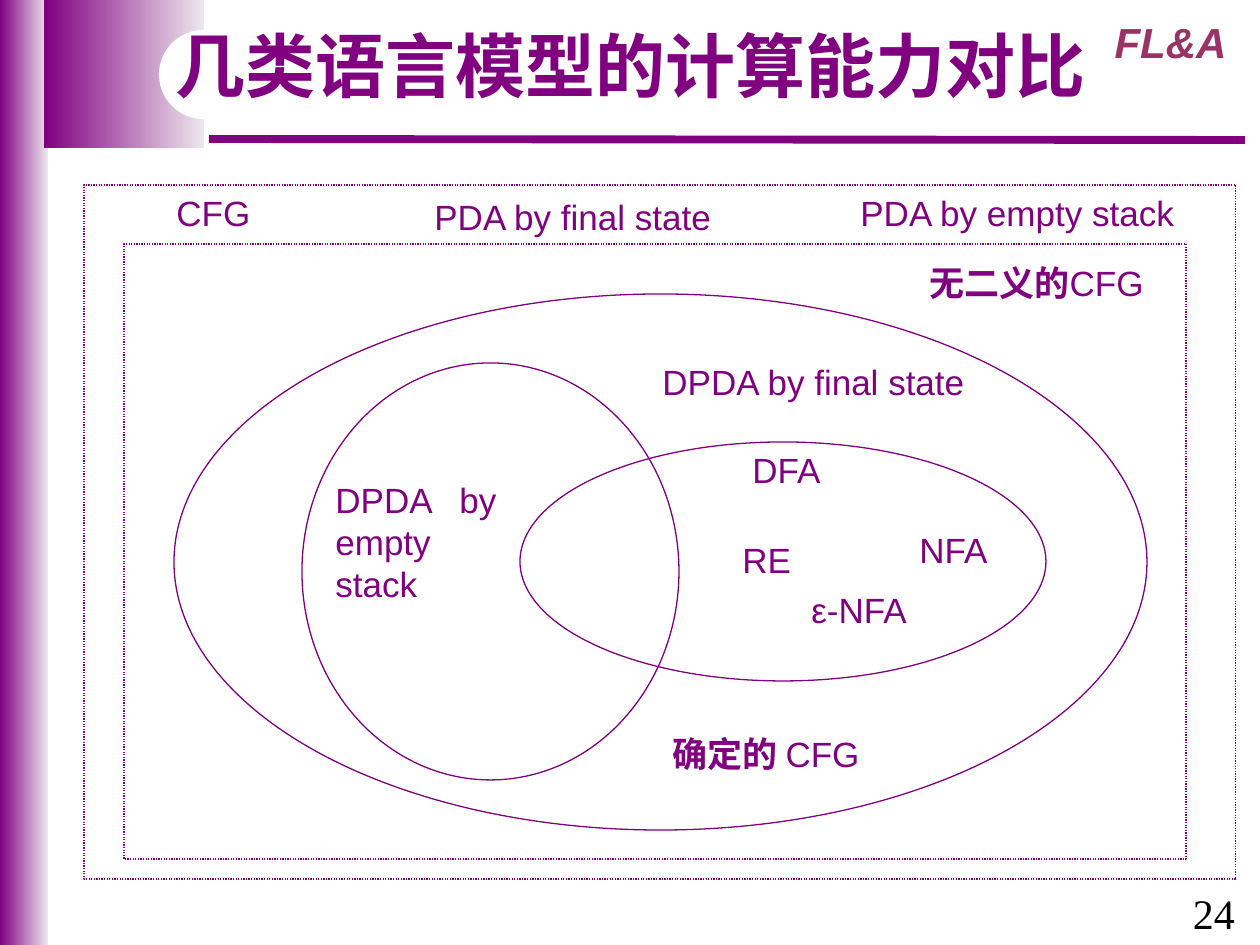
from lxml import etree
from pptx import Presentation
from pptx.dml.color import RGBColor
from pptx.enum import dml, shapes, text
from pptx.oxml.ns import qn
from pptx.util import Emu, Pt

PX = 914400 // 126
PURPLE = RGBColor(0x80, 0x00, 0x80)
PALE = RGBColor(0xED, 0xE7, 0xED)
ROSE = RGBColor(0x99, 0x33, 0x66)
WHITE = RGBColor(0xFF, 0xFF, 0xFF)
BLACK = RGBColor(0x00, 0x00, 0x00)


def px(*lengths):
    return [Emu(length * PX) for length in lengths]


class Page:
    body = dict(name="Arial", size=Pt(20), bold=False, italic=False)

    def __init__(self, deck):
        self.slide = deck.slides.add_slide(deck.slide_layouts[6])

    def block(self, kind, *area):
        shape = self.slide.shapes.add_shape(kind, *px(*area))
        shape.shadow.inherit = False
        return shape

    def gradient(self, *area):
        shape = self.block(shapes.MSO_SHAPE.RECTANGLE, *area)
        shape.line.fill.background()
        shape.fill.gradient()
        shape.fill.gradient_angle = 0
        for stop, color, position in zip(shape.fill.gradient_stops, (PURPLE, PALE), (0, 1)):
            stop.color.rgb = color
            stop.position = position

    def pill(self, *area):
        shape = self.block(shapes.MSO_SHAPE.ROUNDED_RECTANGLE, *area)
        shape.adjustments[0] = 0.5
        shape.fill.solid()
        shape.fill.fore_color.rgb = WHITE
        shape.line.fill.background()

    def outline(self, kind, *area, dash=None):
        shape = self.block(kind, *area)
        shape.fill.background()
        shape.line.color.rgb = PURPLE
        shape.line.width = Pt(0.75)
        if dash:
            shape.line.dash_style = dash

    def ellipse(self, *area):
        self.outline(shapes.MSO_SHAPE.OVAL, *area)

    def frame(self, *area):
        self.outline(shapes.MSO_SHAPE.RECTANGLE, *area, dash=dml.MSO_LINE.ROUND_DOT)

    def rule(self, *ends):
        line = self.slide.shapes.add_connector(shapes.MSO_CONNECTOR.STRAIGHT, *px(*ends))
        line.line.color.rgb = PURPLE
        line.line.width = Pt(4.5)
        etree.SubElement(line._element.spPr, qn("a:effectLst"))

    def label(self, area, *spans, color=PURPLE, align=None, spacing=None, tab=None, **style):
        """Each span is a string, or a (string, format values) pair."""
        box = self.slide.shapes.add_textbox(*px(*area))
        box.text_frame.word_wrap = True
        box.text_frame.auto_size = text.MSO_AUTO_SIZE.SHAPE_TO_FIT_TEXT
        para = box.text_frame.paragraphs[0]
        para.alignment = align
        para.line_spacing = spacing
        if tab:
            stops = etree.SubElement(para._p.get_or_add_pPr(), qn("a:tabLst"))
            etree.SubElement(stops, qn("a:tab"), pos=str(tab * PX), algn="l")
        for span in spans:
            words, extra = (span, {}) if isinstance(span, str) else span
            run = para.add_run()
            run.text = words
            run.font.color.rgb = color
            for name, value in {**self.body, **style, **extra}.items():
                setattr(run.font, name, value)


def main():
    deck = Presentation()
    deck.slide_width, deck.slide_height = px(1260, 945)
    page = Page(deck)
    center = text.PP_ALIGN.CENTER
    bold = dict(bold=True)

    # Decoration and heading
    page.gradient(0, 0, 48, 949)
    page.gradient(44, 0, 160, 148)
    page.rule(209, 139, 1245, 140)
    page.label((1091, 10, 159, 63), "FL&A", color=ROSE, align=center,
               size=Pt(24), bold=True, italic=True)
    page.pill(159, 30, 456, 89)
    page.label((144, 26, 973, 88), "几类语言模型的计算能力对比", align=center,
               spacing=0.9, size=Pt(40), bold=True)

    # Nested language classes
    page.ellipse(520, 442, 526, 239)
    page.ellipse(174, 294, 973, 536)
    page.ellipse(302, 363, 377, 417)
    page.frame(124, 244, 1062, 615)
    page.frame(84, 185, 1152, 694)

    # One-line labels: left, top, width, wording
    for left, top, width, words in (
        (164, 185, 110, "CFG"),
        (422, 189, 417, "PDA by final state"),
        (848, 185, 357, "PDA by empty stack"),
        (650, 354, 348, "DPDA by final state"),
        (740, 442, 189, "DFA"),
        (730, 532, 79, "RE"),
        (907, 522, 100, "NFA"),
        (799, 582, 129, "ε-NFA"),
    ):
        page.label((left, top, width, 54), words)

    # Labels with mixed weight or a tab
    page.label((917, 255, 258, 54), ("无二义的", bold), "CFG")
    page.label((660, 726, 228, 54), ("确定的 ", bold), "CFG")
    page.label((323, 472, 189, 139), "DPDA\tby empty stack", tab=124)

    # Page number
    page.label((1166, 887, 96, 58), "24", color=BLACK, align=center,
               spacing=0.9, name="Times New Roman", size=Pt(24))

    deck.save("out.pptx")


if __name__ == "__main__":
    main()
